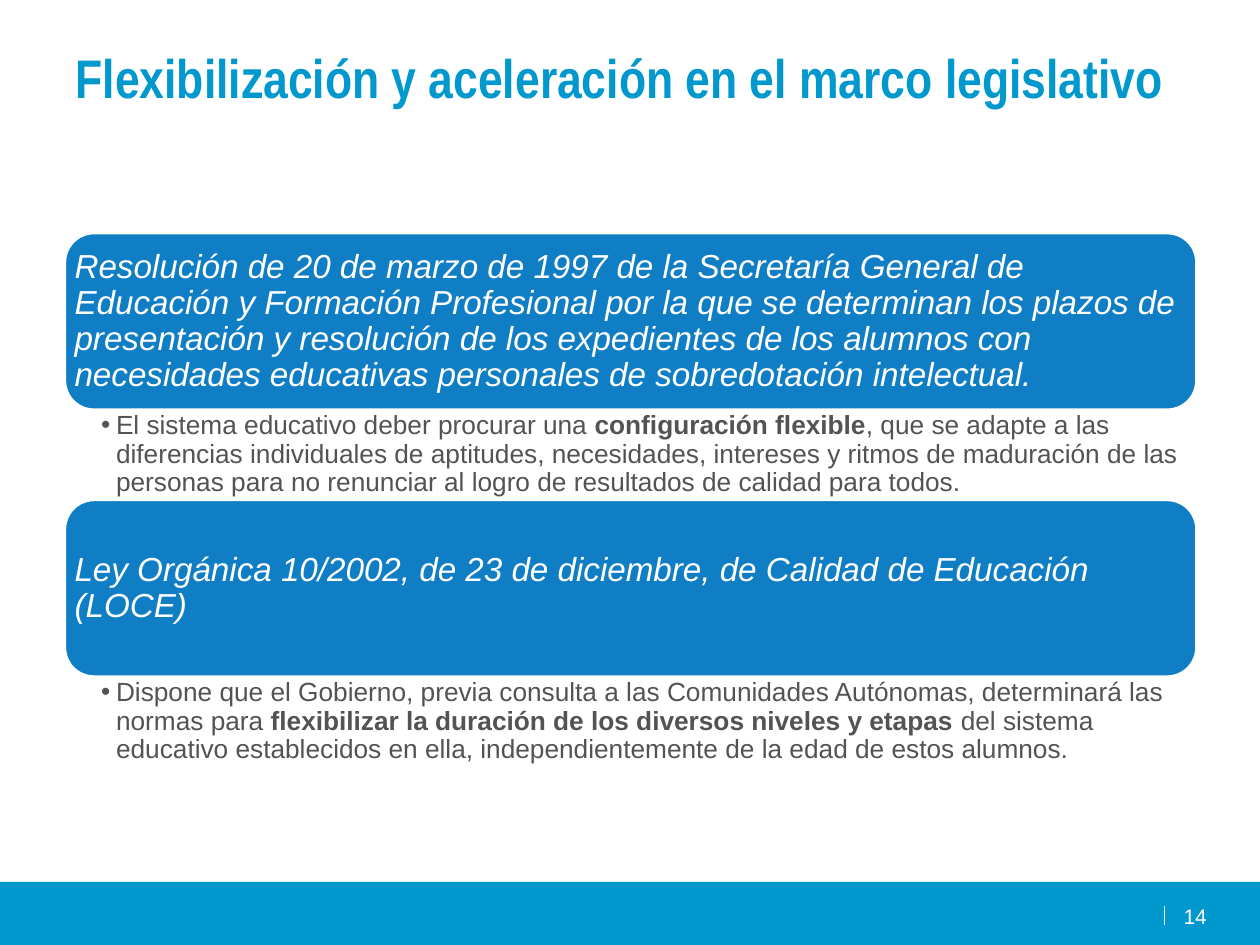
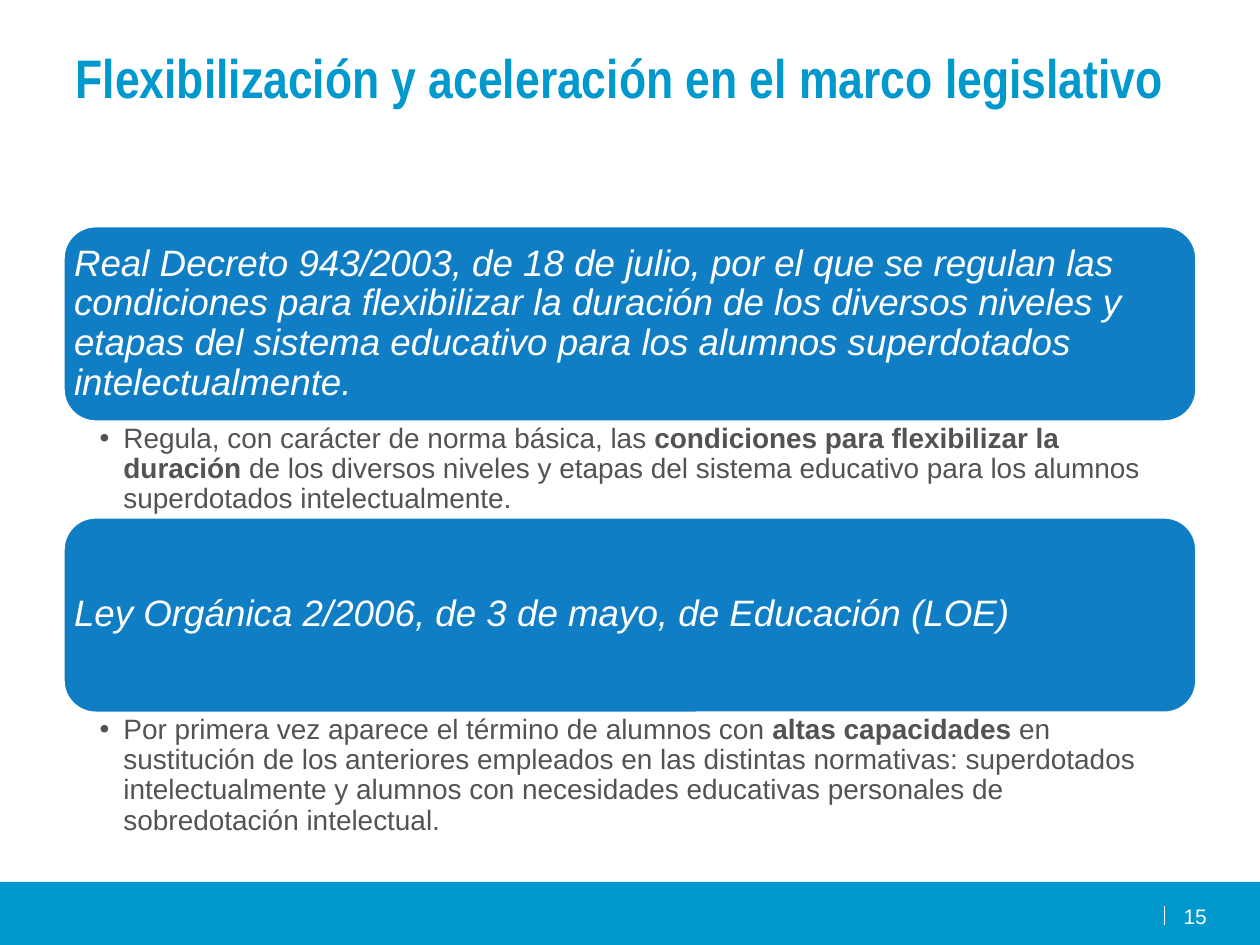
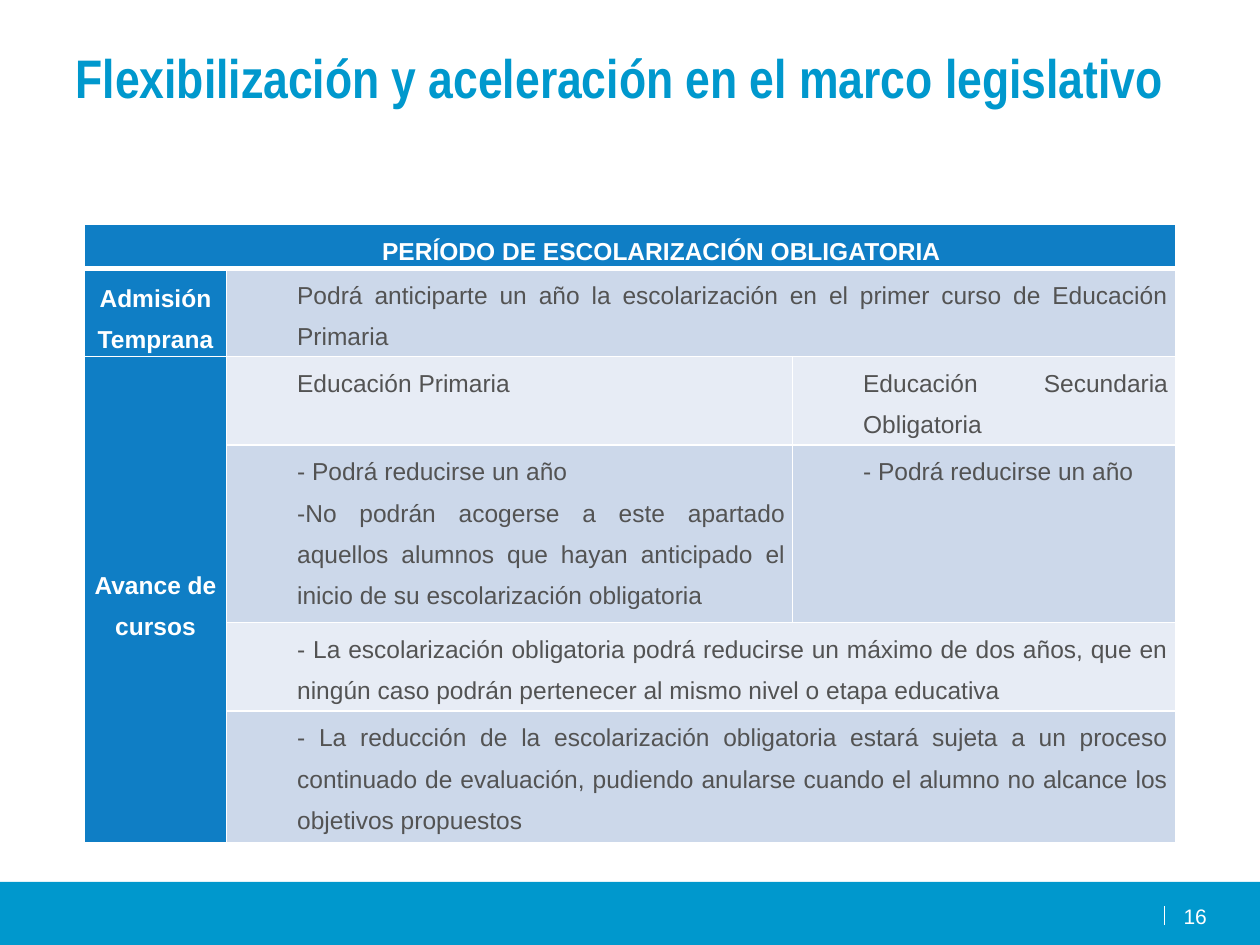
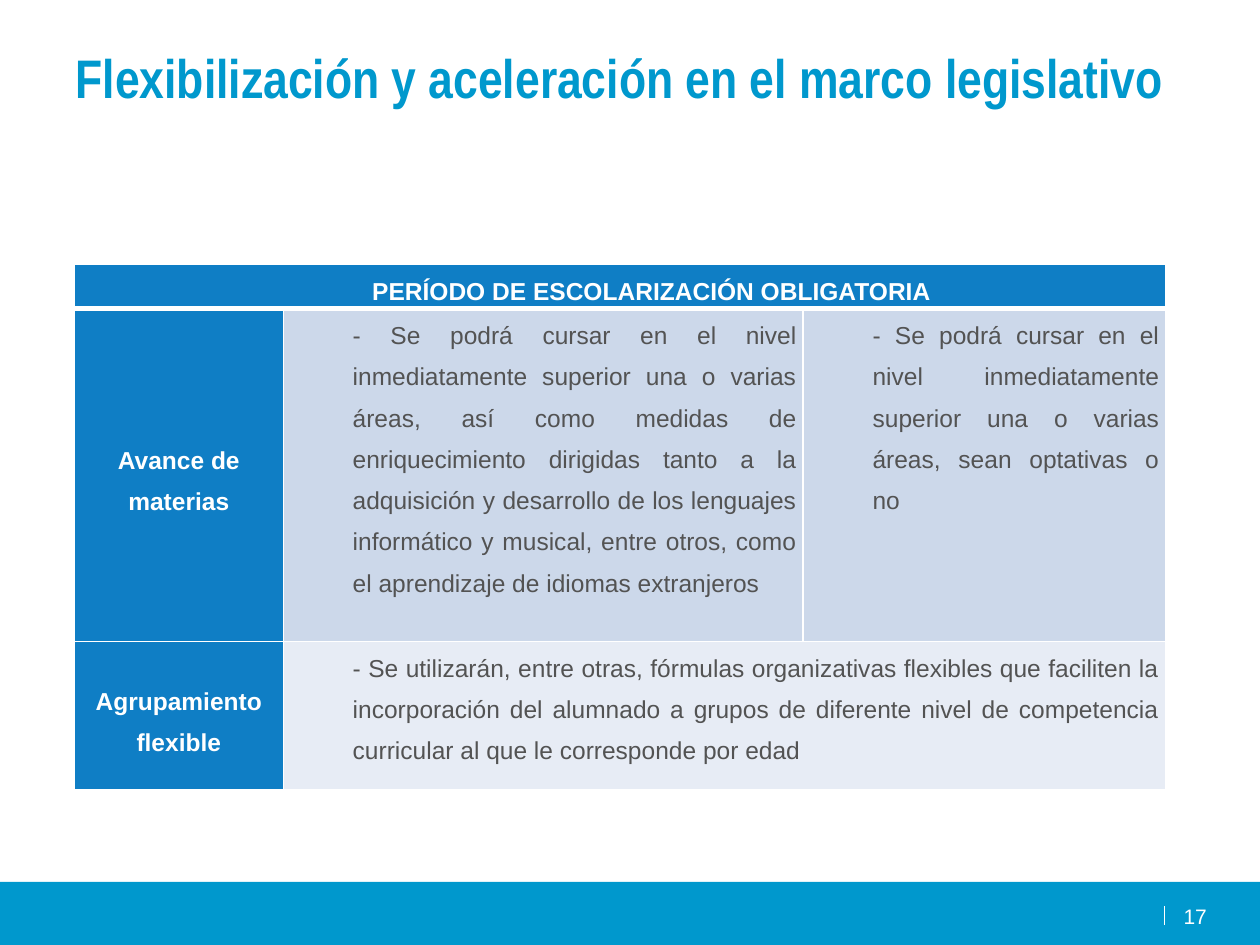
from collections import namedtuple

from lxml.etree import SubElement
from pptx import Presentation
from pptx.dml.color import RGBColor
from pptx.enum.shapes import MSO_CONNECTOR as Line, MSO_SHAPE as Shape
from pptx.enum.text import MSO_ANCHOR as Anchor, MSO_AUTO_SIZE as Fit, PP_ALIGN as Align
from pptx.oxml.ns import qn
from pptx.util import Cm, Pt

Box = namedtuple("Box", "left top width height")

WHITE, CYAN, BLUE, GREY = "FFFFFF", "0098CD", "0F7EC5", "535353"
STRIPES = "E7ECF5", "CCD8EA"
TITLE = "Flexibilización y aceleración en el marco legislativo"
HEAD = "PERÍODO DE ESCOLARIZACIÓN OBLIGATORIA"
INDENT = 1.27

PAGE = Box(0, 0, 25.4, 19.05)
TITLE_BOX = Box(1.27, 0.76, 22.86, 3.18)
FOOT = Box(0, 17.78, 25.4, 1.27)


def color(code):
    return RGBColor.from_string(code)


def cm(box):
    return [Cm(side) for side in box]


def style(para, size, code, bold=False, italic=False, face="Arial"):
    for run in para.runs:
        font = run.font
        font.name, font.size = face, Pt(size)
        font.bold, font.italic = bold, italic
        font.color.rgb = color(code)


def inset(frame, left=0, top=0, right=0, bottom=0):
    frame.margin_left, frame.margin_top = Cm(left), Cm(top)
    frame.margin_right, frame.margin_bottom = Cm(right), Cm(bottom)


def indent(para, left, first=0):
    props = para._p.get_or_add_pPr()
    props.set("marL", str(Cm(left)))
    props.set("indent", str(Cm(first)))
    return props


def add_block(slide, kind, box, fill):
    block = slide.shapes.add_shape(kind, *cm(box))
    block.shadow.inherit = False
    block.fill.solid()
    block.fill.fore_color.rgb = color(fill)
    block.line.fill.background()
    return block


def add_text(slide, box):
    frame = slide.shapes.add_textbox(*cm(box)).text_frame
    frame.word_wrap = True
    inset(frame)
    return frame


def add_foot(slide, box, number):
    add_block(slide, Shape.RECTANGLE, box, CYAN)
    x, y = box.left + 23.47, box.top + 0.48
    mark = slide.shapes.add_connector(
        Line.STRAIGHT, Cm(x), Cm(y + 0.38), Cm(x), Cm(y))
    mark.line.color.rgb = color(WHITE)
    mark.line.width = Pt(0.75)
    SubElement(mark._element.spPr, qn("a:effectLst"))
    frame = add_text(slide, Box(x + 0.1, box.top + 0.43, 0.76, 0.48))
    frame.text = str(number)
    para = frame.paragraphs[0]
    para.alignment = Align.RIGHT
    style(para, 12, WHITE)


def add_page(deck, number):
    """Add a slide with the shared title and footer."""
    slide = deck.slides.add_slide(deck.slide_layouts[5])
    add_foot(slide, FOOT, number)
    title = slide.shapes.title
    title.left, title.top, title.width, title.height = cm(TITLE_BOX)
    frame = title.text_frame
    frame.text = TITLE
    frame.word_wrap, frame.auto_size = True, Fit.NONE
    frame.vertical_anchor = Anchor.TOP
    para = frame.paragraphs[0]
    para.alignment = Align.LEFT
    style(para, 31, CYAN, bold=True, face="Arial Narrow")
    return slide


def add_law(slide, box, name, size):
    card = add_block(slide, Shape.ROUNDED_RECTANGLE, box, BLUE)
    card.line.color.rgb = color(WHITE)
    card.line.width = Pt(2)
    frame = card.text_frame
    frame.word_wrap = True
    inset(frame, 0.03, 0.03, 0.03, 0.03)
    frame.vertical_anchor = Anchor.MIDDLE
    frame.text = name
    para = frame.paragraphs[0]
    para.alignment, para.line_spacing = Align.LEFT, 0.9
    style(para, size, WHITE, italic=True)


def add_note(slide, box, parts, size, hang):
    """Add a bulleted note whose second part is bold."""
    frame = add_text(slide, box)
    inset(frame, 0.74, 0.04, 0.3, 0.04)
    para = frame.paragraphs[0]
    para.level, para.line_spacing = 1, 0.9
    for part in parts:
        para.add_run().text = part
    style(para, size, GREY)
    para.runs[1].font.bold = True
    props = indent(para, hang, -hang)
    SubElement(props, qn("a:buFont"), typeface="Arial")
    SubElement(props, qn("a:buChar"), char="•")


def add_laws(slide, box, laws, card, notes, sizes, hang):
    """Stack law cards from the top of the box, then lay the notes in the gaps."""
    tops = [box.top, box.top + card + notes[0]]
    for top, law in zip(tops, laws):
        add_law(slide, Box(box.left, top, box.width, card), law[0], sizes[0])
    for top, law, tall in zip(tops, laws, notes):
        add_note(slide, Box(box.left, top + card, box.width, tall), law[1:],
                 sizes[1], hang)


def add_edges(cell, bottom):
    props = cell._tc.get_or_add_tcPr()
    for side, width in zip("LRTB", (1, 1, 1, bottom)):
        edge = SubElement(props, qn(f"a:ln{side}"), w=str(Pt(width)))
        fill = SubElement(edge, qn("a:solidFill"))
        SubElement(fill, qn("a:srgbClr"), val=WHITE)


def fill_cell(cell, row, col, text, pad):
    head = row == 0 or col == 0
    add_edges(cell, 3 if row == 0 else 1)
    cell.fill.solid()
    cell.fill.fore_color.rgb = color(BLUE if head else STRIPES[row % 2])
    inset(cell, pad, 0, pad, 0)
    cell.vertical_anchor = Anchor.MIDDLE if row and not col else Anchor.TOP
    cell.text_frame.text = text
    for para in cell.text_frame.paragraphs:
        para.alignment = Align.CENTER if head else Align.JUSTIFY
        para.line_spacing = 1.5
        indent(para, 0 if row and not col else INDENT)
        style(para, 14, WHITE if head else GREY, bold=head)


def add_grid(slide, box, cols, rows, texts, spans, pad):
    """Add a table; spans holds the first and last cell of each merge."""
    table = slide.shapes.add_table(len(rows), len(cols), *cm(box)).table
    for col, width in zip(table.columns, cols):
        col.width = Cm(width)
    for row, height in zip(table.rows, rows):
        row.height = Cm(height)
    for r, line in enumerate(texts):
        for c, text in enumerate(line):
            fill_cell(table.cell(r, c), r, c, text, pad)
    for first, last in spans:
        table.cell(*first).merge(table.cell(*last))


OLD_LAWS = [
    ("Resolución de 20 de marzo de 1997 de la Secretaría General de Educación y "
     "Formación Profesional por la que se determinan los plazos de presentación y "
     "resolución de los expedientes de los alumnos con necesidades educativas "
     "personales de sobredotación intelectual.",
     "El sistema educativo deber procurar una ", "configuración flexible",
     ", que se adapte a las diferencias individuales de aptitudes, necesidades, "
     "intereses y ritmos de maduración de las personas para no renunciar al logro "
     "de resultados de calidad para todos."),
    ("Ley Orgánica 10/2002, de 23 de diciembre, de Calidad de Educación (LOCE)",
     "Dispone que el Gobierno, previa consulta a las Comunidades Autónomas, "
     "determinará las normas para ",
     "flexibilizar la duración de los diversos niveles y etapas",
     " del sistema educativo establecidos en ella, independientemente de la edad "
     "de estos alumnos."),
]
NEW_LAWS = [
    ("Real Decreto 943/2003, de 18 de julio, por el que se regulan las condiciones "
     "para flexibilizar la duración de los diversos niveles y etapas del sistema "
     "educativo para los alumnos superdotados intelectualmente.",
     "Regula, con carácter de norma básica, las ",
     "condiciones para flexibilizar la duración",
     " de los diversos niveles y etapas del sistema educativo para los alumnos "
     "superdotados intelectualmente."),
    ("Ley Orgánica 2/2006, de 3 de mayo, de Educación (LOE)",
     "Por primera vez aparece el término de alumnos con ", "altas capacidades",
     " en sustitución de los anteriores empleados en las distintas normativas: "
     "superdotados intelectualmente y alumnos con necesidades educativas "
     "personales de sobredotación intelectual."),
]
COURSES = [
    (HEAD, "", ""),
    ("Admisión Temprana", "Podrá anticiparte un año la escolarización en el primer "
     "curso de Educación Primaria", ""),
    ("Avance de cursos", "Educación Primaria", "Educación Secundaria Obligatoria"),
    ("", "- Podrá reducirse un año\n-No podrán acogerse a este apartado aquellos "
     "alumnos que hayan anticipado el inicio de su escolarización obligatoria",
     "- Podrá reducirse un año"),
    ("", "- La escolarización obligatoria podrá reducirse un máximo de dos años, que "
     "en ningún caso podrán pertenecer al mismo nivel o etapa educativa", ""),
    ("", "- La reducción de la escolarización obligatoria estará sujeta a un proceso "
     "continuado de evaluación, pudiendo anularse cuando el alumno no alcance los "
     "objetivos propuestos", ""),
]
TOPICS = [
    (HEAD, "", ""),
    ("Avance de materias", "- Se podrá cursar en el nivel inmediatamente superior una "
     "o varias áreas, así como medidas de enriquecimiento dirigidas tanto a la "
     "adquisición y desarrollo de los lenguajes informático y musical, entre otros, "
     "como el aprendizaje de idiomas extranjeros",
     "- Se podrá cursar en el nivel inmediatamente superior una o varias áreas, sean "
     "optativas o no"),
    ("Agrupamiento flexible", "- Se utilizarán, entre otras, fórmulas organizativas "
     "flexibles que faciliten la incorporación del alumnado a grupos de diferente "
     "nivel de competencia curricular al que le corresponde por edad", ""),
]


def main():
    deck = Presentation()
    deck.slide_width, deck.slide_height = Cm(PAGE.width), Cm(PAGE.height)

    add_laws(add_page(deck, 14), Box(1.3, 4.69, 22.83, 10.74), OLD_LAWS,
             card=3.58, notes=(1.8, 1.8), sizes=(19, 15), hang=0.3)
    add_laws(add_page(deck, 15), Box(1.27, 4.55, 22.86, 12.37), NEW_LAWS,
             card=3.96, notes=(1.91, 2.54), sizes=(21, 16), hang=0.48)
    add_grid(add_page(deck, 16), Box(1.7, 4.52, 22, 12.47),
             (2.87, 11.41, 7.72), (0.89, 1.78, 1.78, 3.58, 1.78, 2.66), COURSES,
             [((0, 0), (0, 2)), ((1, 1), (1, 2)), ((2, 0), (5, 0)),
              ((4, 1), (4, 2)), ((5, 1), (5, 2))], pad=0.15)
    add_grid(add_page(deck, 17), Box(1.5, 5.33, 22, 10.6),
             (4.21, 10.48, 7.31), (0.89, 6.71, 3), TOPICS,
             [((0, 0), (0, 2)), ((2, 1), (2, 2))], pad=0.13)
    deck.save("out.pptx")


if __name__ == "__main__":
    main()
